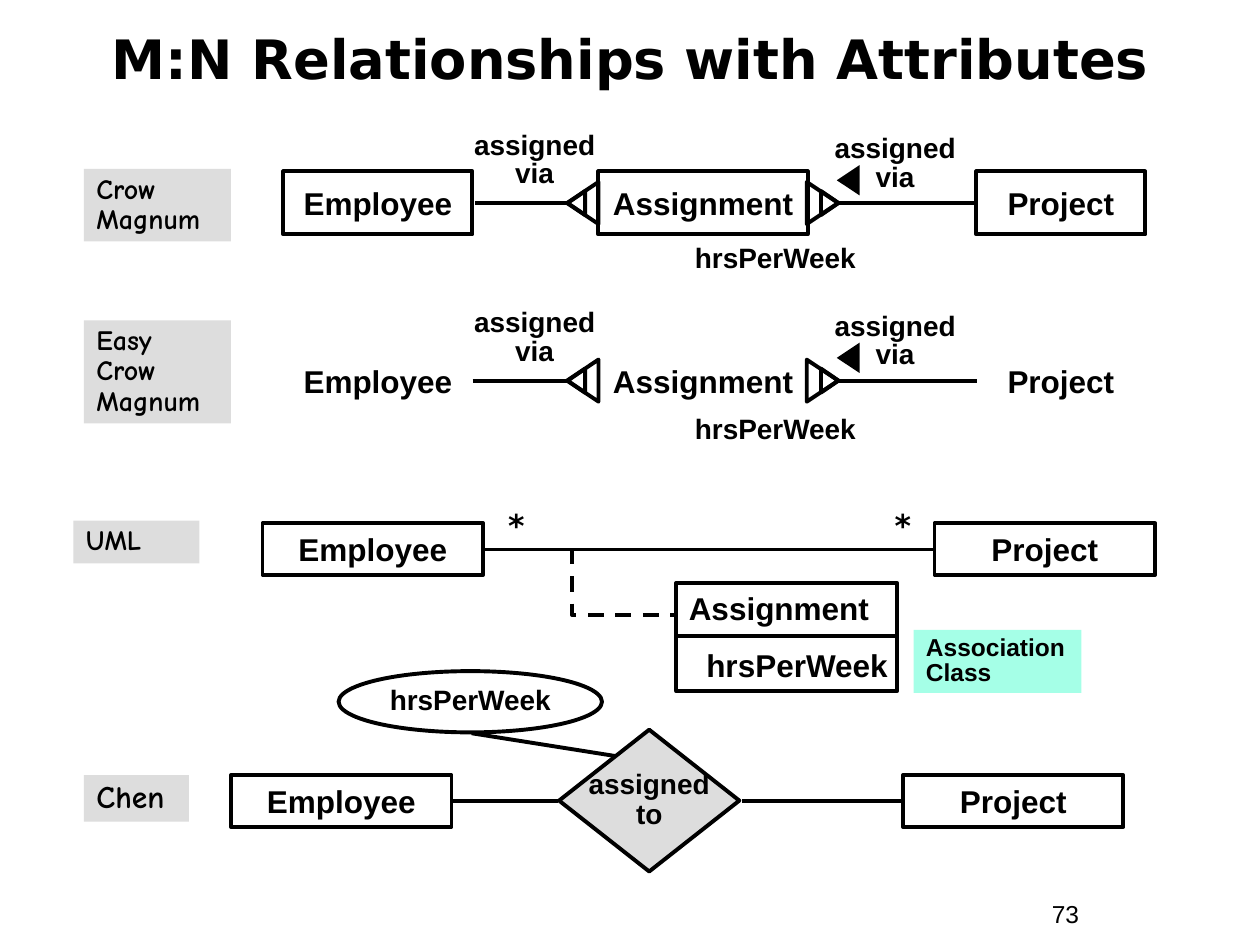
from dataclasses import dataclass
from typing import Optional

from lxml import etree
from pptx import Presentation
from pptx import util as u
from pptx.dml.color import RGBColor
from pptx.enum import dml, shapes, text
from pptx.oxml.ns import qn

COLORS = {"ink": "000000", "label": "DDDDDD", "note": "A5FFE7", "paper": "FFFFFF"}
STROKE = 2.25
SHAPE = shapes.MSO_SHAPE
CENTER, LEFT = text.PP_ALIGN.CENTER, text.PP_ALIGN.LEFT
TOP, MIDDLE = text.MSO_ANCHOR.TOP, text.MSO_ANCHOR.MIDDLE


@dataclass(frozen=True)
class Frame:
    left: float
    top: float
    width: float
    height: float

    def lengths(self) -> list:
        return [u.Pt(v) for v in (self.left, self.top, self.width, self.height)]


@dataclass(frozen=True)
class Node:
    name: str
    frame: Frame


@dataclass(frozen=True)
class CrowRow:
    """One crow-notation row: its line height, attribute position and box style."""
    axis: float
    attribute_top: float
    boxed: bool


CROW_ROWS = [CrowRow(116, 136, True), CrowRow(217.5, 234, False)]
ENTITIES = [
    Node("Employee", Frame(150, 299, 126, 29.5)),
    Node("Project", Frame(534, 299, 126, 29.5)),
    Node("Employee", Frame(132, 443, 126, 29.5)),
    Node("Project", Frame(516, 443, 126, 29.5)),
]
NOTATIONS = [
    (Node("Crow\vMagnum", Frame(48, 96.5, 84, 41.5)), 16),
    (Node("Easy\vCrow\vMagnum", Frame(48, 183, 84, 59)), 16),
    (Node("UML", Frame(42, 297.5, 72, 24.5)), 16),
    (Node("Chen", Frame(48, 443, 60, 26.5)), 18),
]


def rgb(name: str) -> RGBColor:
    return RGBColor.from_string(COLORS[name])


def write(box, words: str, *, size: float = 18, font: str = "Arial", bold: bool = True,
          align=CENTER, anchor=MIDDLE, spacing: float = 1.0, wrap: bool = False) -> None:
    frame = box.text_frame
    frame.word_wrap = wrap
    frame.vertical_anchor = anchor
    frame.margin_left = frame.margin_right = u.Pt(7.2)
    frame.margin_top = frame.margin_bottom = u.Pt(3.6)
    frame.text = words
    for para in frame.paragraphs:
        para.alignment = align
        para.line_spacing = spacing
        para.font.size = u.Pt(size)
        para.font.name = font
        para.font.bold = bold
        para.font.color.rgb = rgb("ink")


def add_words(page, frame: Frame, words: str, **style) -> None:
    write(page.shapes.add_textbox(*frame.lengths()), words, **style)


def add_figure(page, kind, frame: Frame, fill: Optional[str] = None,
               outlined: bool = True, rotation: float = 0):
    figure = page.shapes.add_shape(kind, *frame.lengths())
    figure.shadow.inherit = False
    figure.rotation = rotation
    if fill:
        figure.fill.solid()
        figure.fill.fore_color.rgb = rgb(fill)
    else:
        figure.fill.background()
    if outlined:
        ink_line(figure)
    else:
        figure.line.fill.background()
    return figure


def ink_line(figure) -> None:
    figure.line.color.rgb = rgb("ink")
    figure.line.width = u.Pt(STROKE)


def add_line(page, x1: float, y1: float, x2: float, y2: float) -> None:
    line = page.shapes.add_connector(
        shapes.MSO_CONNECTOR.STRAIGHT, *(u.Pt(v) for v in (x1, y1, x2, y2)))
    ink_line(line)
    etree.SubElement(line._element.spPr, qn("a:effectLst"))


def add_entity(page, node: Node, boxed: bool = True) -> None:
    if boxed:
        write(add_figure(page, SHAPE.RECTANGLE, node.frame), node.name)
    else:
        add_words(page, node.frame, node.name)


def add_crow_foot(page, outer_left: float, inner_left: float, axis: float,
                  rotation: float) -> None:
    """Draw a triangle with a smaller one inside, both centred on the axis."""
    for left, width, height in ((outer_left, 24, 18), (inner_left, 13.7, 10)):
        frame = Frame(left, axis - height / 2, width, height)
        add_figure(page, SHAPE.ISOSCELES_TRIANGLE, frame, rotation=rotation)


def add_crow_row(page, row: CrowRow) -> None:
    axis = row.axis
    for name, left, width in (("Employee", 162, 108), ("Assignment", 342, 119.5),
                              ("Project", 558, 96.5)):
        add_entity(page, Node(name, Frame(left, axis - 18, width, 36)), row.boxed)
    gap = 1.5 if row.boxed else 0
    add_line(page, 270 + gap, axis, 324, axis)
    add_line(page, 558 - gap, axis, 479.5, axis)
    for left, rise in ((257.5, 44), (463.5, 42)):
        add_words(page, Frame(left, axis - rise, 96, 40), "assigned via", size=16,
                  anchor=TOP, spacing=0.85, wrap=True)
    add_words(page, Frame(390, row.attribute_top, 120, 24.5), "hrsPerWeek", size=16,
              align=LEFT, anchor=TOP, spacing=0.9, wrap=True)
    add_figure(page, SHAPE.ISOSCELES_TRIANGLE, Frame(476, axis - 19.5, 17.3, 13),
               fill="ink", outlined=False, rotation=270)
    add_crow_foot(page, 458, 467.3, axis, 90)
    add_crow_foot(page, 321, 322.5, axis, 270)


def add_uml_association(page) -> None:
    add_line(page, 277, 314, 533, 314)
    for frame in (Frame(498, 288, 36, 26.5), Frame(265, 288, 60, 26.5)):
        add_words(page, frame, "*", font="DejaVu Sans", anchor=TOP, spacing=0.9, wrap=True)

    box = add_figure(page, SHAPE.RECTANGLE, Frame(386.5, 333, 126, 62))
    write(box, "Assignment\nhrsPerWeek", align=LEFT, anchor=TOP, wrap=True)
    box.text_frame.margin_right = 0
    attribute = box.text_frame.paragraphs[1]
    attribute.space_before = u.Pt(11.2)
    attribute._p.get_or_add_pPr().set("marL", str(u.Pt(10)))
    add_line(page, 386.5, 363.5, 512.5, 363.5)

    builder = page.shapes.build_freeform(u.Pt(327), u.Pt(313.5))
    builder.add_line_segments(
        [(u.Pt(327), u.Pt(351.5)), (u.Pt(386.5), u.Pt(351.5))], close=False)
    link = builder.convert_to_shape()
    link.shadow.inherit = False
    link.fill.background()
    ink_line(link)
    link.line.dash_style = dml.MSO_LINE.DASH

    note = add_figure(page, SHAPE.RECTANGLE, Frame(522, 360, 96, 36), "note", False)
    write(note, "Association Class", size=14, align=LEFT, anchor=TOP, spacing=0.85, wrap=True)


def add_chen_relationship(page) -> None:
    add_line(page, 424, 457.5, 515, 457.5)
    add_line(page, 259, 457.5, 319, 457.5)
    diamond = add_figure(page, SHAPE.FLOWCHART_DECISION, Frame(319.5, 417, 103, 81), "label")
    write(diamond, "assigned\vto", size=16, spacing=0.9)
    ellipse = add_figure(page, SHAPE.OVAL, Frame(193.5, 383.5, 150.5, 35), "paper")
    write(ellipse, "hrsPerWeek", size=16, spacing=0.9)
    add_line(page, 269.5, 419, 351.5, 432)


def main() -> None:
    deck = Presentation()
    deck.slide_width, deck.slide_height = u.Pt(720), u.Pt(540)
    page = deck.slides.add_slide(deck.slide_layouts[6])
    add_words(page, Frame(594, 510, 66, 24.5), "73", size=14, bold=False,
              align=LEFT, anchor=TOP, wrap=True)
    add_words(page, Frame(24, 6, 672, 54), "M:N Relationships with Attributes",
              size=31, font="DejaVu Sans", wrap=True)
    for entity in ENTITIES:
        add_entity(page, entity)
    add_uml_association(page)
    add_chen_relationship(page)
    for notation, size in NOTATIONS:
        label = add_figure(page, SHAPE.RECTANGLE, notation.frame, "label", False)
        write(label, notation.name, size=size, font="Comic Neue", align=LEFT,
              anchor=TOP, spacing=0.9, wrap=True)
    for row in CROW_ROWS:
        add_crow_row(page, row)
    deck.save("out.pptx")


if __name__ == "__main__":
    main()
